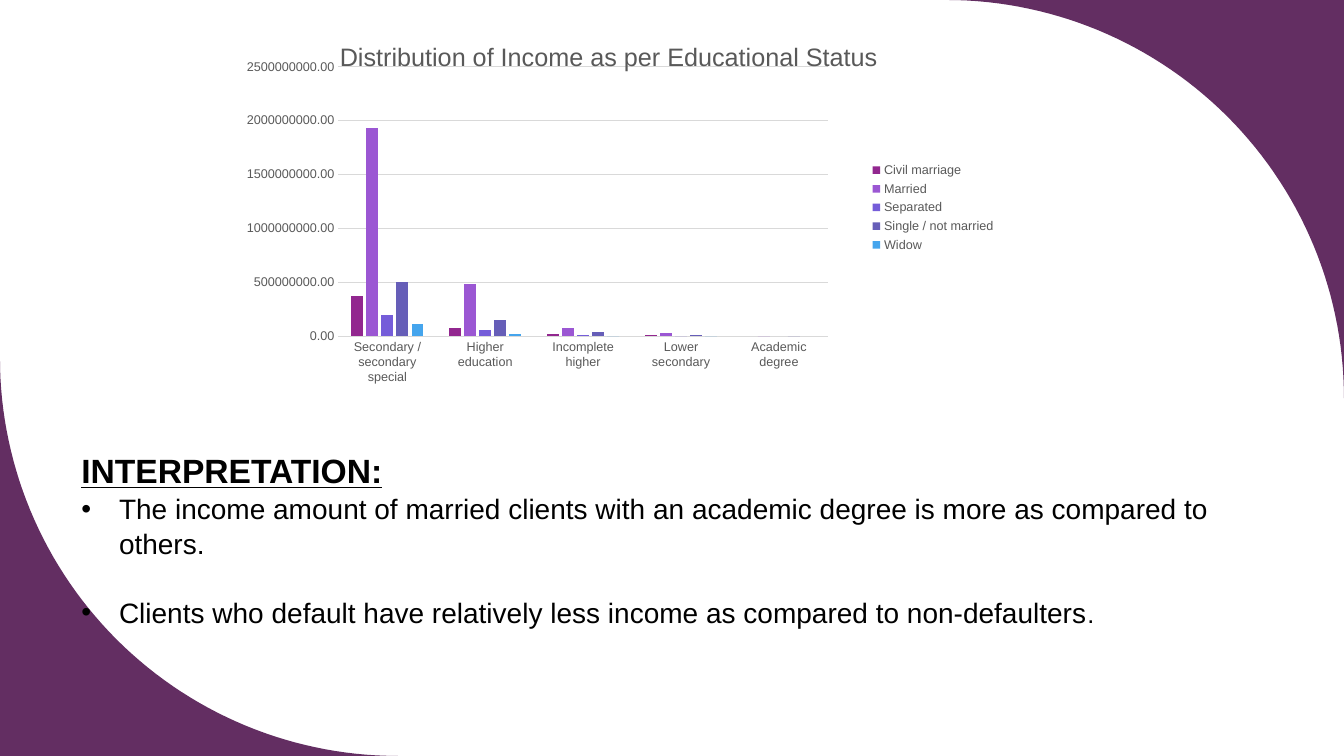
from math import cos, pi, sin

from lxml import etree
from pptx import Presentation
from pptx.chart.data import CategoryChartData
from pptx.dml.color import RGBColor
from pptx.enum.chart import XL_CHART_TYPE, XL_LEGEND_POSITION, XL_TICK_MARK
from pptx.oxml.ns import qn
from pptx.util import Cm, Pt

COLUMNS = XL_CHART_TYPE.COLUMN_CLUSTERED
LEGEND_RIGHT = XL_LEGEND_POSITION.RIGHT
NO_TICK = XL_TICK_MARK.NONE

PLUM = RGBColor(0x63, 0x2E, 0x62)
BLACK = RGBColor(0, 0, 0)
GREY = RGBColor(0x59, 0x59, 0x59)
GRID = RGBColor(0xD9, 0xD9, 0xD9)

FONT = "Arial"
WIDTH, HEIGHT = 33.87, 19.05
RADIUS = 10.03
ARC_STEPS = 60

CATEGORIES = ["Secondary / secondary special", "Higher education",
              "Incomplete higher", "Lower secondary", "Academic degree"]
MILLION = 1_000_000
# Name, income in millions, colour
SERIES = [
    ("Civil marriage", [370, 80, 20, 10, None], RGBColor(0x92, 0x27, 0x8F)),
    ("Married", [1930, 480, 80, 30, 0], RGBColor(0x9B, 0x57, 0xD3)),
    ("Separated", [200, 60, 10, 0, None], RGBColor(0x75, 0x5D, 0xD9)),
    ("Single / not married", [500, 150, 40, 10, 0], RGBColor(0x66, 0x5E, 0xB8)),
    ("Widow", [110, 20, 0, 0, None], RGBColor(0x45, 0xA5, 0xED)),
]


def style_font(font, size, color):
    font.name = FONT
    font.size = Pt(size)
    font.color.rgb = color
    font.bold = False


def add_corner(s, corner, center, start):
    """Fill the area between a slide corner and a quarter circle."""
    cx, cy = center
    angles = [start + pi / 2 * i / ARC_STEPS for i in range(ARC_STEPS + 1)]
    arc = [(Cm(cx + RADIUS * cos(a)), Cm(cy + RADIUS * sin(a))) for a in angles]
    builder = s.shapes.build_freeform(Cm(corner[0]), Cm(corner[1]))
    builder.add_line_segments(arc, close=True)
    sp = builder.convert_to_shape()
    sp.shadow.inherit = False
    sp.fill.solid()
    sp.fill.fore_color.rgb = PLUM
    sp.line.fill.background()


def set_layout(parent, after, **values):
    """Place a chart part by fractions of the chart's size."""
    for old in parent.findall(qn("c:layout")):
        parent.remove(old)
    layout = etree.Element(qn("c:layout"))
    manual = etree.SubElement(layout, qn("c:manualLayout"))
    for tag, value in values.items():
        etree.SubElement(manual, qn(f"c:{tag}")).set("val", str(value))
    if after is None:
        parent.insert(0, layout)
    else:
        after.addnext(layout)


def add_income_chart(s):
    data = CategoryChartData(number_format="0.00")
    data.categories = CATEGORIES
    for name, millions, _ in SERIES:
        data.add_series(name, [None if m is None else m * MILLION for m in millions])
    chart = s.shapes.add_chart(COLUMNS, Cm(5.23), Cm(0.43), Cm(20.12), Cm(9.6),
                               data).chart
    style_font(chart.font, 10, BLACK)

    # Title
    chart.has_title = True
    title = chart.chart_title
    r = title.text_frame.paragraphs[0].add_run()
    r.text = "Distribution of Income as per Educational Status"
    style_font(r.font, 18, GREY)
    title.include_in_layout = False
    title_xml = title._element
    set_layout(title_xml, title_xml.find(qn("c:tx")),
               xMode="edge", yMode="edge", x=0.16, y=0.05)

    # Plot area and bars
    set_layout(chart._chartSpace.chart.plotArea, None,
               layoutTarget="inner", xMode="edge", yMode="edge",
               x=0.164, y=0.131, w=0.613, h=0.707)
    plot = chart.plots[0]
    plot.gap_width = 219
    plot.overlap = -27
    plot.vary_by_categories = False
    for series, (_, _, color) in zip(plot.series, SERIES):
        series.format.fill.solid()
        series.format.fill.fore_color.rgb = color
        series.invert_if_negative = False

    # Axes
    for axis in (chart.category_axis, chart.value_axis):
        axis.major_tick_mark = NO_TICK
        axis.minor_tick_mark = NO_TICK
        style_font(axis.tick_labels.font, 9, GREY)
    value_axis = chart.value_axis
    value_axis.tick_labels.number_format = "0.00"
    value_axis.tick_labels.number_format_is_linked = False
    value_axis.format.line.fill.background()
    value_axis.has_major_gridlines = True
    for line in (chart.category_axis.format.line,
                 value_axis.major_gridlines.format.line):
        line.color.rgb = GRID
        line.width = Pt(0.75)

    # Legend
    chart.has_legend = True
    chart.legend.position = LEGEND_RIGHT
    chart.legend.include_in_layout = False
    style_font(chart.legend.font, 9, GREY)


def add_run(p, text, size, heading=False):
    r = p.add_run()
    r.text = text
    style_font(r.font, size, BLACK)
    r.font.bold = heading
    r.font.underline = heading


def add_bullet(tf, runs, space_before=0):
    p = tf.add_paragraph()
    p.line_spacing = 1.04
    p.space_before = Pt(space_before)
    pPr = p._p.get_or_add_pPr()
    indent = Cm(0.95)
    pPr.set("marL", str(indent))
    pPr.set("indent", str(-indent))
    etree.SubElement(pPr, qn("a:buFont")).set("typeface", FONT)
    etree.SubElement(pPr, qn("a:buChar")).set("char", "•")
    for text, size in runs:
        add_run(p, text, size)


def add_interpretation(s):
    tf = s.shapes.add_textbox(Cm(1.8), Cm(11.18), Cm(30.84), Cm(4.6)).text_frame
    tf.word_wrap = True
    p = tf.paragraphs[0]
    p.line_spacing = 1.04
    add_run(p, "INTERPRETATION:", 24, heading=True)
    add_bullet(tf, [("The income amount of married clients with an academic degree "
                     "is more as compared to others.", 20)])
    add_bullet(tf, [("Clients who default have relatively less income as compared "
                     "to non-defaulters", 20), (".", 18)], space_before=24)


def main():
    prs = Presentation()
    prs.slide_width, prs.slide_height = Cm(WIDTH), Cm(HEIGHT)
    s = prs.slides.add_slide(prs.slide_layouts[6])

    # Corner decorations: top right, bottom left
    add_corner(s, (WIDTH, 0), (WIDTH - RADIUS, RADIUS), -pi / 2)
    add_corner(s, (0, HEIGHT), (RADIUS, HEIGHT - RADIUS), pi / 2)

    add_interpretation(s)
    add_income_chart(s)
    prs.save("out.pptx")


if __name__ == "__main__":
    main()
